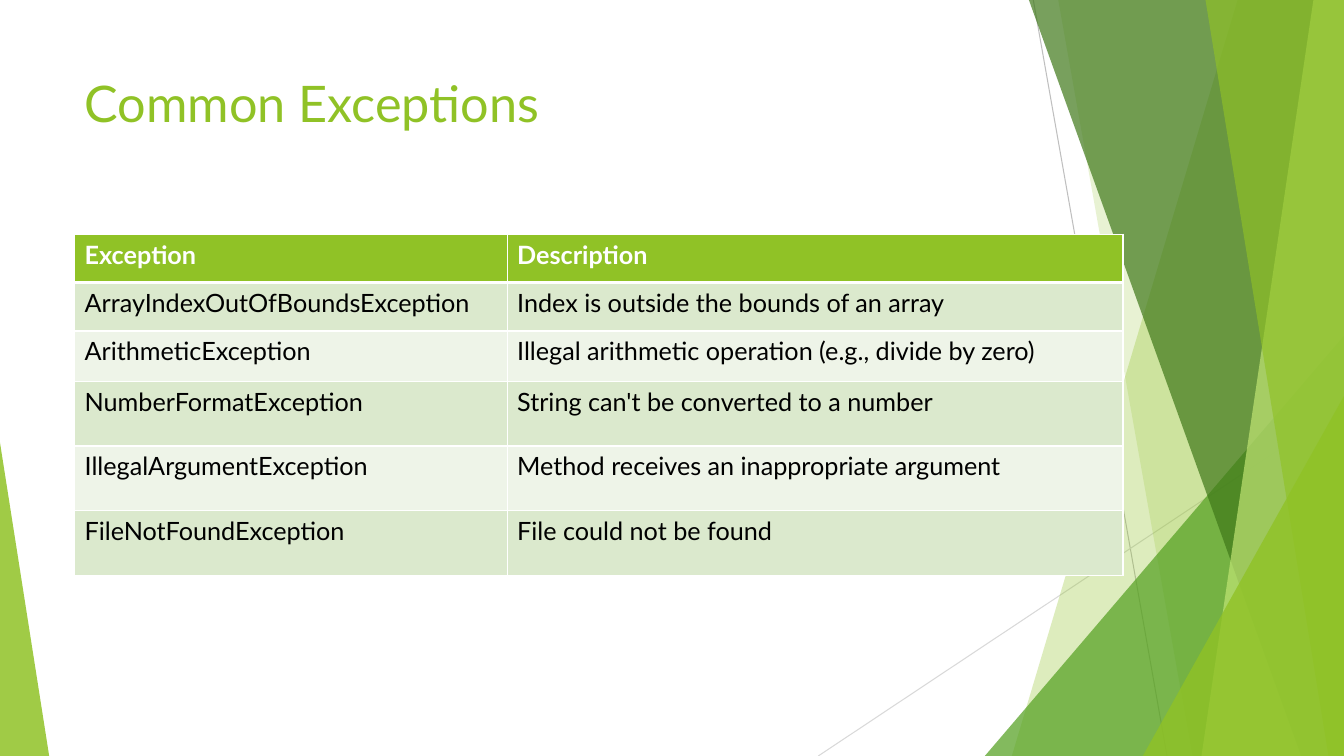
import pptx
import pptx.dml.color
import pptx.enum.shapes
import pptx.enum.text
import pptx.oxml
import pptx.oxml.ns
import pptx.util
from lxml import etree

Cm, Pt = pptx.util.Cm, pptx.util.Pt
qn = pptx.oxml.ns.qn

WIDTH, HEIGHT = 33.87, 19.05
GREEN, WHITE, BLACK = "90C226", "FFFFFF", "000000"
BANDS = ("DBE9CD", "EEF4E8")

# Each facet runs to the right edge: top-left x, bottom-left x, colour, opacity
BACK_FACETS = [(31.19, 25.5, GREEN, 30), (26.67, 30.05, GREEN, 20)]
FRONT_FACETS = [
    (25.93, 32.79, "3F7819", 70),
    (33.1, 30.28, "C0E474", 70),
    (30.38, 33.48, GREEN, 65),
]

EXCEPTIONS = [
    ("Exception", "Description"),
    ("ArrayIndexOutOfBoundsException", "Index is outside the bounds of an array"),
    ("ArithmeticException", "Illegal arithmetic operation (e.g., divide by zero)"),
    ("NumberFormatException", "String can't be converted to a number"),
    ("IllegalArgumentException", "Method receives an inappropriate argument"),
    ("FileNotFoundException", "File could not be found"),
]
COL_WIDTHS = (10.9, 15.52)
ROW_HEIGHTS = (1.22, 1.22, 1.27, 1.63, 1.63, 1.63)


def rgb(color):
    return pptx.dml.color.RGBColor.from_string(color)


class SlideBuilder:
    def __init__(self, slide, font):
        self.shapes = slide.shapes
        self.font = font

    def run(self, p, text, size, color, bold=False):
        r = p.add_run()
        r.text = text
        r.font.name = self.font
        r.font.size = Pt(size)
        r.font.bold = bold
        r.font.color.rgb = rgb(color)

    def paint(self, sp, color, opacity):
        """Fill a shape with a translucent colour, without line or shadow."""
        sp.shadow.inherit = False
        sp.line.fill.background()
        sp.fill.solid()
        sp.fill.fore_color.rgb = rgb(color)
        clr = sp.fill._xPr.find(qn("a:solidFill"))[0]
        etree.SubElement(clr, qn("a:alpha"), val=str(opacity * 1000))

    def line(self, start, end, color, width=0.75):
        ends = [Cm(v) for v in (*start, *end)]
        cxn = self.shapes.add_connector(pptx.enum.shapes.MSO_CONNECTOR.STRAIGHT, *ends)
        cxn.line.color.rgb = rgb(color)
        cxn.line.width = Pt(width)
        etree.SubElement(cxn._element.spPr, qn("a:effectLst"))

    def facet(self, top_x, bottom_x, color, opacity):
        builder = self.shapes.build_freeform(Cm(top_x), 0)
        corners = [(WIDTH, 0), (WIDTH, HEIGHT), (bottom_x, HEIGHT)]
        builder.add_line_segments([(Cm(x), Cm(y)) for x, y in corners], close=True)
        self.paint(builder.convert_to_shape(), color, opacity)

    def triangle(self, left, top, width, apex, color, opacity):
        """Draw a triangle standing on the bottom edge, apex from 0 (left) to 1."""
        box = [Cm(v) for v in (left, top, width, HEIGHT - top)]
        sp = self.shapes.add_shape(
            pptx.enum.shapes.MSO_SHAPE.ISOSCELES_TRIANGLE, *box)
        sp.adjustments[0] = apex
        self.paint(sp, color, opacity)

    def title(self, text, left, top, width, height):
        sp = self.shapes.add_textbox(Cm(left), Cm(top), Cm(width), Cm(height))
        tf = sp.text_frame
        tf.word_wrap = True
        tf.vertical_anchor = pptx.enum.text.MSO_ANCHOR.TOP
        self.run(tf.paragraphs[0], text, 36, GREEN)

    def borders(self, cell, **widths):
        tcPr = cell._tc.get_or_add_tcPr()
        for side in "LRTB":
            ln = etree.SubElement(
                tcPr, qn("a:ln" + side), w=str(Pt(widths.get(side, 1))))
            fill = etree.SubElement(ln, qn("a:solidFill"))
            etree.SubElement(fill, qn("a:srgbClr"), val=WHITE)

    def table(self, rows, left, top, col_widths, row_heights):
        frame = self.shapes.add_table(
            len(rows), len(col_widths), Cm(left), Cm(top),
            Cm(sum(col_widths)), Cm(sum(row_heights)))
        table = frame.table
        for col, width in zip(table.columns, col_widths):
            col.width = Cm(width)
        for i, (texts, height) in enumerate(zip(rows, row_heights)):
            table.rows[i].height = Cm(height)
            header = i == 0
            heavy = {0: {"B": 3}, 1: {"T": 3}}.get(i, {})
            for j, text in enumerate(texts):
                cell = table.cell(i, j)
                self.borders(cell, **heavy)
                cell.fill.solid()
                cell.fill.fore_color.rgb = rgb(GREEN if header else BANDS[(i - 1) % 2])
                self.run(cell.text_frame.paragraphs[0], text, 18,
                         WHITE if header else BLACK, bold=header)


def main():
    prs = pptx.Presentation()
    prs.slide_width, prs.slide_height = Cm(WIDTH), Cm(HEIGHT)
    s = SlideBuilder(prs.slides.add_slide(prs.slide_layouts[6]), "Lato")

    s.line((26.04, 0), (29.41, HEIGHT), "BFBFBF")
    s.line((WIDTH, 10.24), (20.62, HEIGHT), "D9D9D9")
    for facet in BACK_FACETS:
        s.facet(*facet)
    s.triangle(24.82, 8.46, 9.05, 1, "54A021", 72)
    for facet in FRONT_FACETS:
        s.facet(*facet)
    s.triangle(28.8, 9.98, 5.07, 1, GREEN, 80)
    s.triangle(0, 11.15, 1.24, 0, GREEN, 85)

    s.title("Common Exceptions", 1.88, 1.7, 23.88, 3.66)
    s.table(EXCEPTIONS, 1.88, 5.9, COL_WIDTHS, ROW_HEIGHTS)
    prs.save("out.pptx")


if __name__ == "__main__":
    main()
